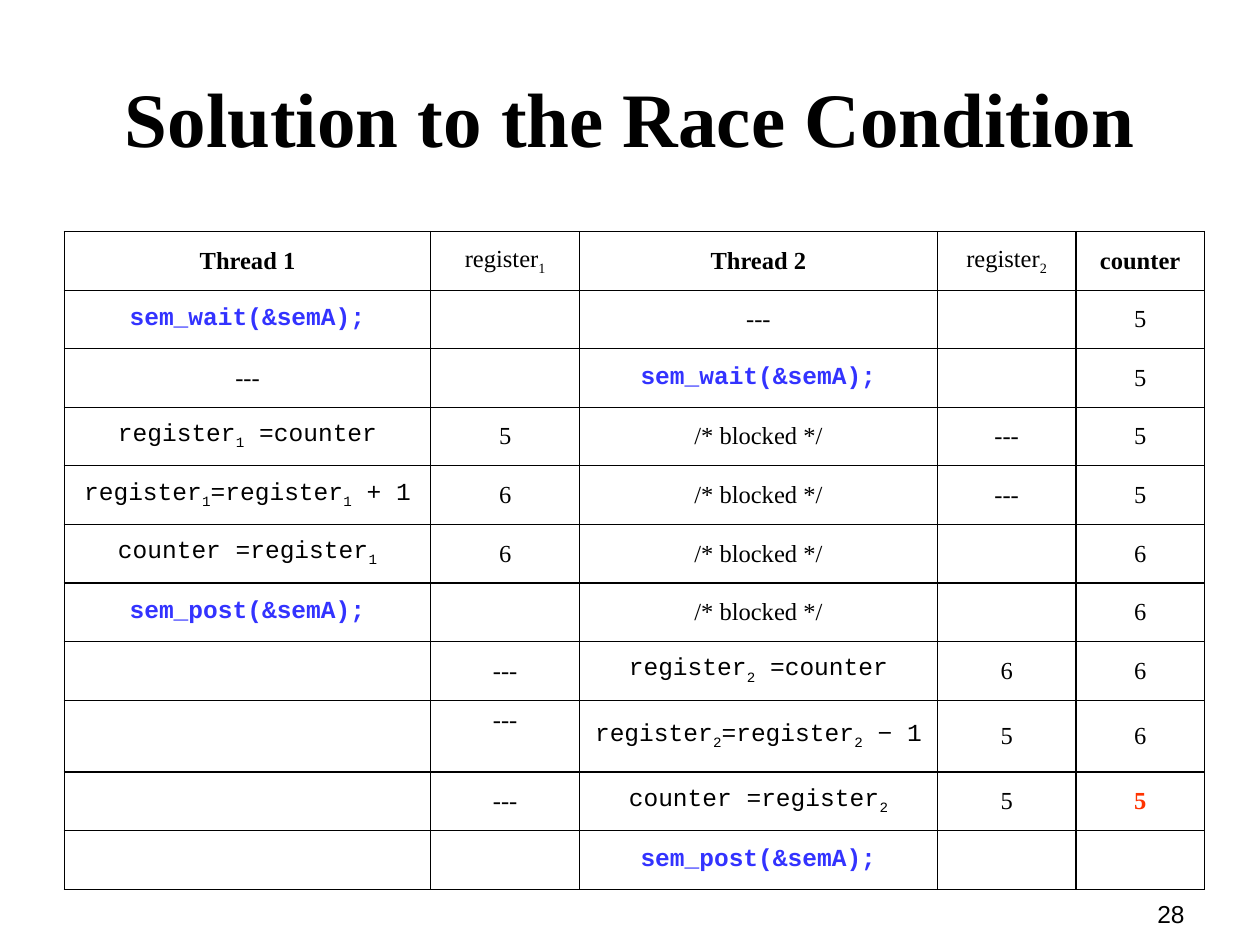
from lxml.etree import SubElement
from pptx import Presentation
from pptx.dml.color import RGBColor
from pptx.enum.text import MSO_ANCHOR, PP_ALIGN
from pptx.oxml.ns import qn
from pptx.util import Inches, Pt

COLORS = {"text": "000000", "paper": "FFFFFF", "semaphore": "3333FF", "result": "FF3300"}
SERIF, MONO, SANS = "Times New Roman", "Courier New", "Arial"
WIDTH, HEIGHT = Inches(10), Inches(7.5)
SUBSCRIPT = "~"

WAIT, POST = "sem_wait(&semA);", "sem_post(&semA);"
BLOCKED, IDLE = "/* blocked */", "---"
COLUMN_WIDTHS = [2.91, 1.18, 2.84, 1.1, 1.02]
ROW_HEIGHT, TALL_ROW_HEIGHT, TALL_ROW = 0.465, 0.57, 8
RESULT_CELL = (9, 4)
TOP_CELL = (TALL_ROW, 1)
ROWS = [
    ["Thread 1", "register~1", "Thread 2", "register~2", "counter"],
    [WAIT, "", IDLE, "", "5"],
    [IDLE, "", WAIT, "", "5"],
    ["register~1 =counter", "5", BLOCKED, IDLE, "5"],
    ["register~1=register~1 + 1", "6", BLOCKED, IDLE, "5"],
    ["counter =register~1", "6", BLOCKED, "", "6"],
    [POST, "", BLOCKED, "", "6"],
    ["", IDLE, "register~2 =counter", "6", "6"],
    ["", IDLE, "register~2=register~2 − 1", "5", "6"],
    ["", IDLE, "counter =register~2", "5", "5"],
    ["", "", POST, "", ""],
]


def cell_style(row, column, text):
    if text in (WAIT, POST):
        return {"font": MONO, "color": "semaphore", "bold": True}
    if "=" in text:
        return {"font": MONO}
    if (row, column) == RESULT_CELL:
        return {"color": "result", "bold": True}
    return {"bold": row == 0 and SUBSCRIPT not in text}


class SlideBuilder:
    def __init__(self, presentation):
        self.slide = presentation.slides.add_slide(presentation.slide_layouts[5])

    def place(self, left, top, width, height):
        return [int(WIDTH * left), int(HEIGHT * top), int(WIDTH * width), int(HEIGHT * height)]

    def format_run(self, run, size, font=SERIF, color="text", bold=False):
        run.font.name = font
        run.font.size = Pt(size)
        run.font.bold = bold
        run.font.color.rgb = RGBColor.from_string(COLORS[color])

    def fill_paragraph(self, paragraph, text, size, align, **style):
        paragraph.alignment = align
        first, *rest = text.split(SUBSCRIPT)
        pieces = [(first, False)]
        for part in rest:
            pieces += [(part[0], True), (part[1:], False)]
        for piece, lowered in pieces:
            if piece:
                run = paragraph.add_run()
                run.text = piece
                self.format_run(run, size, **style)
                if lowered:
                    run.font._element.set("baseline", "-25000")

    def title(self, text, box):
        title = self.slide.shapes.title
        title.left, title.top, title.width, title.height = self.place(*box)
        title.text_frame.vertical_anchor = MSO_ANCHOR.MIDDLE
        self.fill_paragraph(title.text_frame.paragraphs[0], text, 44, PP_ALIGN.CENTER, bold=True)

    def label(self, text, box):
        shape = self.slide.shapes.add_textbox(*self.place(*box))
        shape.text_frame.word_wrap = True
        self.fill_paragraph(shape.text_frame.paragraphs[0], text, 14, PP_ALIGN.RIGHT, font=SANS)

    def border(self, cell):
        properties = cell._tc.get_or_add_tcPr()
        for position, side in enumerate(("a:lnL", "a:lnR", "a:lnT", "a:lnB")):
            line = SubElement(properties, qn(side), w=str(Pt(0.75)))
            fill = SubElement(line, qn("a:solidFill"))
            SubElement(fill, qn("a:srgbClr"), val=COLORS["text"])
            properties.insert(position, line)

    def table(self, rows, box):
        frame = self.slide.shapes.add_table(len(rows), len(rows[0]), *self.place(*box))
        table = frame.table
        table.first_row = table.horz_banding = False
        for column, width in zip(table.columns, COLUMN_WIDTHS):
            column.width = Inches(width)
        for row_index, values in enumerate(rows):
            height = TALL_ROW_HEIGHT if row_index == TALL_ROW else ROW_HEIGHT
            table.rows[row_index].height = Inches(height)
            for column_index, text in enumerate(values):
                position = (row_index, column_index)
                cell = table.cell(*position)
                cell.vertical_anchor = MSO_ANCHOR.TOP if position == TOP_CELL else MSO_ANCHOR.MIDDLE
                cell.fill.solid()
                cell.fill.fore_color.rgb = RGBColor.from_string(COLORS["paper"])
                self.border(cell)
                self.fill_paragraph(cell.text_frame.paragraphs[0], text, 14, PP_ALIGN.CENTER,
                                    **cell_style(*position, text))


def main():
    presentation = Presentation()
    presentation.slide_width, presentation.slide_height = WIDTH, HEIGHT
    builder = SlideBuilder(presentation)
    builder.title("Solution to the Race Condition", (0.05, 0.04, 0.9, 1 / 6))
    builder.table(ROWS, (0.051, 0.245, 0.905, 0.696))
    builder.label("28", (0.717, 0.945, 0.233, 0.07))
    presentation.save("out.pptx")


if __name__ == "__main__":
    main()
